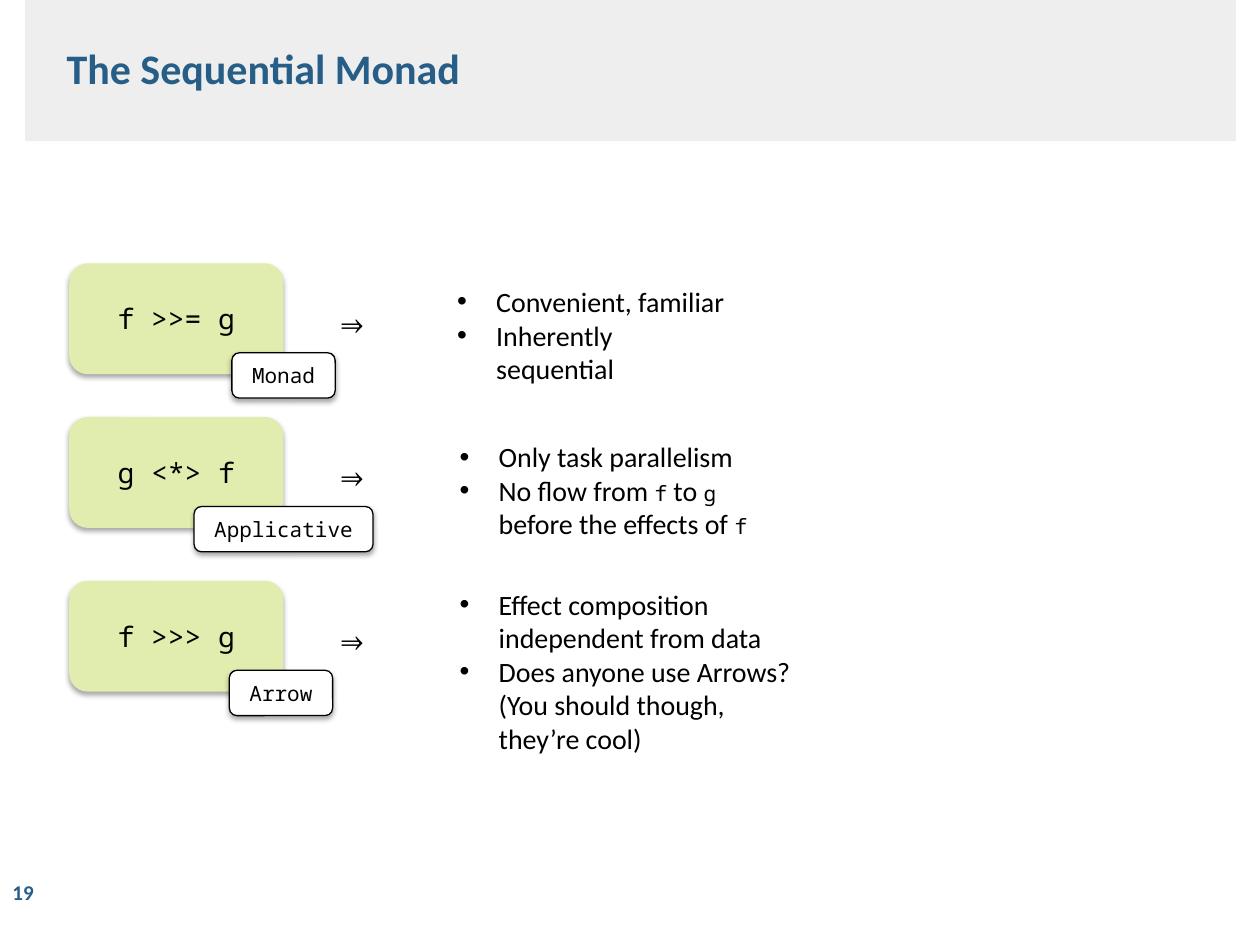
from lxml import etree
from pptx import Presentation
from pptx.dml.color import RGBColor
from pptx.enum import shapes, text
from pptx.oxml import ns
from pptx.util import Inches, Pt

RECT = shapes.MSO_SHAPE.RECTANGLE
ROUND = shapes.MSO_SHAPE.ROUNDED_RECTANGLE


def color(code):
    return RGBColor.from_string(code)


class Deck:
    sans, mono = "Calibri", "Noto Sans Mono"
    blue, gray, green = "265E87", "EEEEEE", "E0EDAE"
    black, white = "000000", "FFFFFF"

    def __init__(self, slide):
        self.slide = slide

    def style(self, para, name, size, code=black, bold=False):
        font = para.font
        font.name, font.size, font.bold = name, Pt(size), bold
        font.color.rgb = color(code)

    def shade(self, shape):
        """Soft shadow straight below the shape."""
        effects = shape._element.spPr.find(ns.qn("a:effectLst"))
        outer = etree.SubElement(
            effects, ns.qn("a:outerShdw"), blurRad=str(Pt(3.1)),
            dist=str(Pt(1.8)), dir="5400000", rotWithShape="0")
        tint = etree.SubElement(outer, ns.qn("a:srgbClr"), val=self.black)
        etree.SubElement(tint, ns.qn("a:alpha"), val="35000")

    def box(self, kind, x, y, w, h, fill, line=None):
        shape = self.slide.shapes.add_shape(
            kind, Inches(x), Inches(y), Inches(w), Inches(h))
        shape.shadow.inherit = False
        shape.fill.solid()
        shape.fill.fore_color.rgb = color(fill)
        if line:
            shape.line.color.rgb = color(line)
            shape.line.width = Pt(0.75)
        else:
            shape.line.fill.background()
        return shape

    def card(self, x, y, w, h, words, size, fill, line=None):
        shape = self.box(ROUND, x, y, w, h, fill, line)
        self.shade(shape)
        frame = shape.text_frame
        frame.word_wrap = False
        frame.vertical_anchor = text.MSO_ANCHOR.MIDDLE
        para = frame.paragraphs[0]
        para.text = words
        para.alignment = text.PP_ALIGN.CENTER
        self.style(para, self.mono, size)

    def frame(self, x, y, w, h, wrap=True):
        area = self.slide.shapes.add_textbox(
            Inches(x), Inches(y), Inches(w), Inches(h))
        area.text_frame.word_wrap = wrap
        return area.text_frame

    def label(self, x, y, w, h, words, name, size, code=black, bold=False,
              wrap=True, anchor=text.MSO_ANCHOR.TOP):
        frame = self.frame(x, y, w, h, wrap)
        frame.vertical_anchor = anchor
        para = frame.paragraphs[0]
        para.text = words
        self.style(para, name, size, code, bold)

    def bullets(self, x, y, w, h, items):
        """Each item is text in which backticks enclose code."""
        frame = self.frame(x, y, w, h)
        for i, item in enumerate(items):
            para = frame.add_paragraph() if i else frame.paragraphs[0]
            props = para._p.get_or_add_pPr()
            props.set("marL", str(Inches(0.31)))
            props.set("indent", str(-Inches(0.31)))
            etree.SubElement(props, ns.qn("a:buFont"), typeface="Arial")
            etree.SubElement(props, ns.qn("a:buChar"), char="•")
            self.style(para, self.sans, 16)
            for j, part in enumerate(item.split("`")):
                if part:
                    run = para.add_run()
                    run.text = part
                    if j % 2:
                        run.font.name, run.font.size = self.mono, Pt(12)


def main():
    prs = Presentation()
    prs.slide_width, prs.slide_height = Inches(10), Inches(7.5)
    deck = Deck(prs.slides.add_slide(prs.slide_layouts[6]))

    # Header and page number
    deck.box(RECT, 0.2, 0, 9.61, 1.12, deck.gray)
    deck.label(0.43, 0.29, 7.56, 0.74, "The Sequential Monad",
               deck.sans, 24, deck.blue, True)
    deck.label(0, 6.87, 0.55, 0.42, "19", deck.sans, 12, deck.blue, True,
               anchor=text.MSO_ANCHOR.MIDDLE)

    # Rows: top, code, (badge, left, width), (notes left, top, width, height)
    rows = [
        (2.09, "f >>= g", ("Monad", 1.84, 0.82), (3.53, 2.21, 2.35, 0.64),
         ["Convenient, familiar", "Inherently sequential"]),
        (3.31, "g <*> f", ("Applicative", 1.54, 1.42),
         (3.55, 3.44, 2.56, 0.91),
         ["Only task parallelism",
          "No flow from `f` to `g `before the effects of `f`"]),
        (4.61, "f >>> g", ("Arrow", 1.82, 0.82), (3.55, 4.61, 2.84, 1.45),
         ["Effect composition independent from data",
          "Does anyone use Arrows? (You should though, they’re cool)"]),
    ]
    for top, code, (name, left, width), place, notes in rows:
        deck.card(0.55, top, 1.7, 0.88, code, 16, deck.green)
        deck.card(left, top + 0.71, width, 0.36, name, 12,
                  deck.white, deck.black)
        deck.label(2.53, top + 0.22, 0.45, 0.44, "⇒", deck.mono, 20,
                   wrap=False)
        deck.bullets(*place, notes)

    prs.save("out.pptx")


if __name__ == "__main__":
    main()
